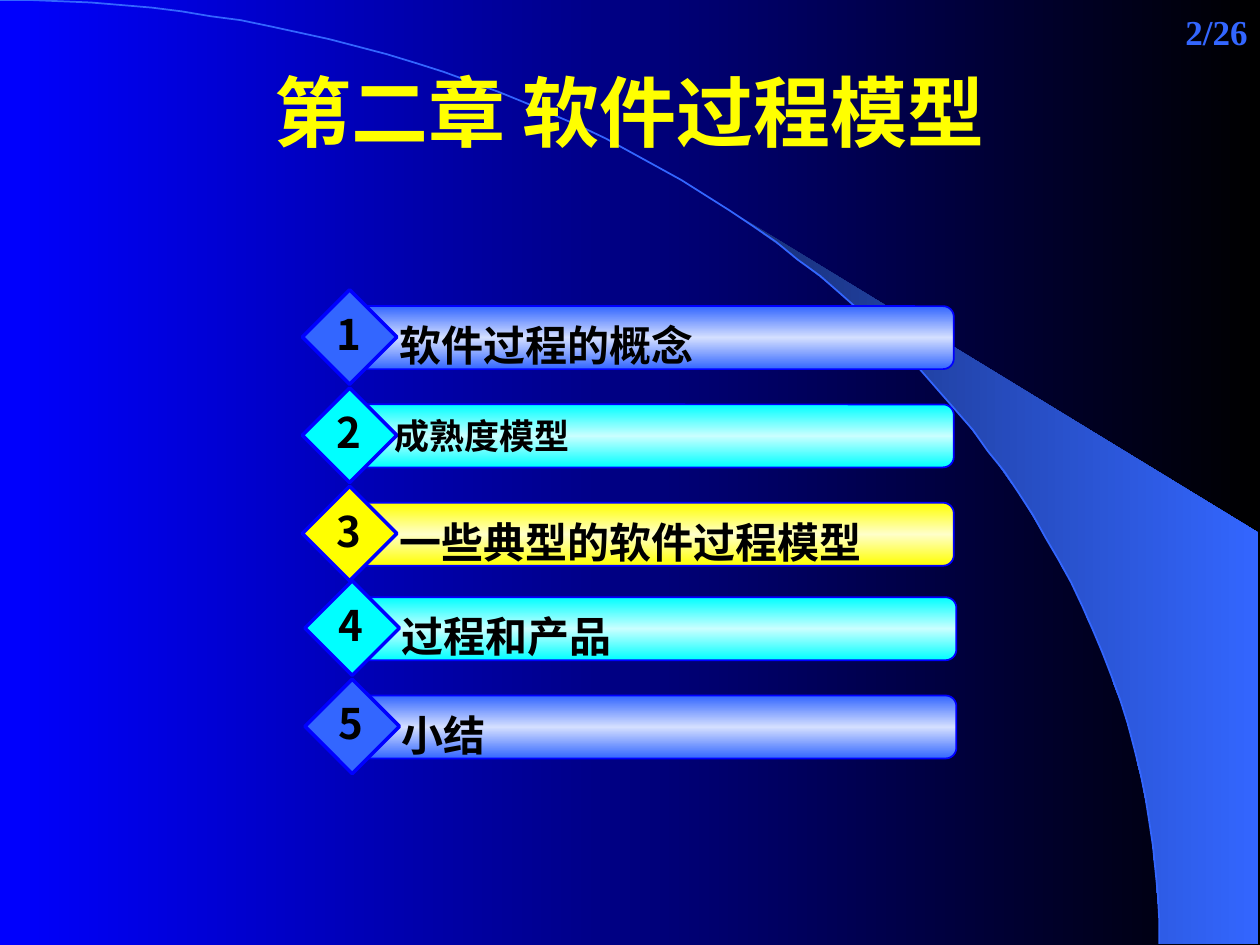
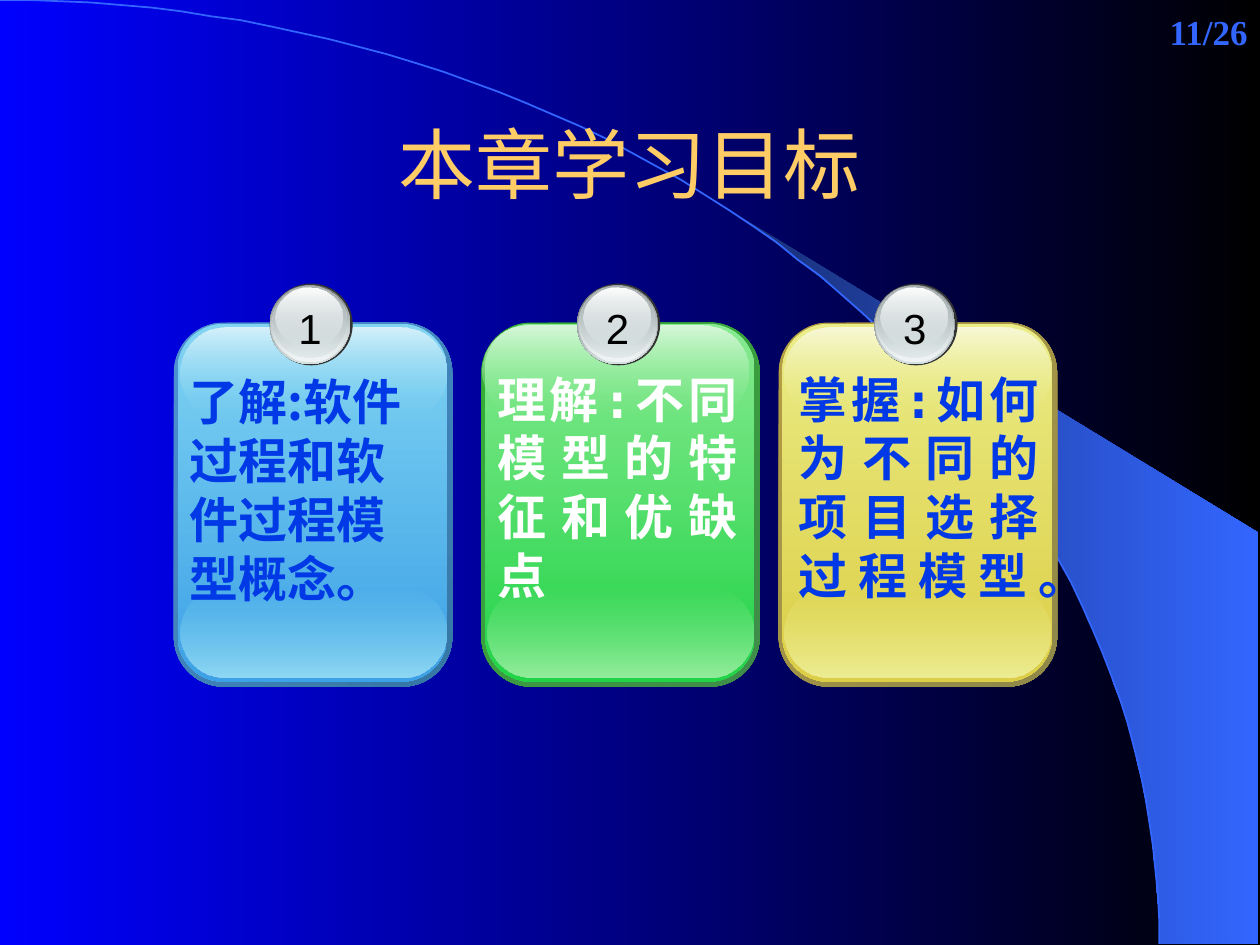
from math import cos, pi, sin
from lxml.etree import SubElement
from pptx import Presentation
from pptx.dml.color import RGBColor
from pptx.enum.lang import MSO_LANGUAGE_ID
from pptx.enum.shapes import MSO_SHAPE
from pptx.enum.text import MSO_ANCHOR, PP_ALIGN
from pptx.oxml.ns import qn
from pptx.util import Pt

PX = 9144
WIDE, HIGH = 1000, 750
BLUE = RGBColor(0x00, 0x00, 0xFF)
BLACK = RGBColor(0x00, 0x00, 0x00)
WHITE = RGBColor(0xFF, 0xFF, 0xFF)
AZURE = RGBColor(0x33, 0x66, 0xFF)
NAVY = RGBColor(0x18, 0x2F, 0x76)
YELLOW = RGBColor(0xFF, 0xFF, 0x00)
GOLD = RGBColor(0xFF, 0xCC, 0x66)
CYAN = RGBColor(0x00, 0xFF, 0xFF)
INK = RGBColor(0x00, 0x39, 0xE5)
COAL = RGBColor(0x33, 0x33, 0x33)
STEEL = RGBColor(0x63, 0x68, 0x69)
ASH = RGBColor(0xAA, 0xB2, 0xB3)
SILVER = RGBColor(0xD6, 0xE1, 0xE2)
PEARL = RGBColor(0xF1, 0xF5, 0xF5)
GLOW = {
    AZURE: RGBColor(0xD4, 0xDF, 0xFF),
    CYAN: RGBColor(0xC9, 0xFF, 0xFF),
    YELLOW: RGBColor(0xFF, 0xFF, 0xC9),
}
SKY = [RGBColor.from_string(c) for c in
       ("4E91D4", "3477A4", "80D4F2", "3CA1E6", "8FD9F4", "D5F1FB")]
LEAF = [RGBColor.from_string(c) for c in
        ("34B034", "3F8B4A", "88EA91", "21D347", "96ED9E", "D7F8DA")]
SAND = [RGBColor.from_string(c) for c in
        ("B59F43", "8F8849", "EAEC86", "DCCE46", "EDEE95", "F8F9D7")]
SANS, MONO = "Noto Sans CJK SC", "DejaVu Sans Mono"

ROWS = [
    (240, 230, AZURE, "软件过程的概念", 24, 67, 19),
    (240, 308, CYAN, "成熟度模型", 20, 63, 16),
    (240, 386, YELLOW, "一些典型的软件过程模型", 24, 67, 19),
    (242, 461, CYAN, "过程和产品", 24, 67, 19),
    (242, 539, AZURE, "小结", 24, 67, 19),
]
GOALS = [
    (138, SKY, "了解:软件过程和软件过程模型概念。", INK, SANS,
     PP_ALIGN.LEFT, (3, 34), (5, 4)),
    (382, LEAF, "理解:不同模型的特征和优缺点", WHITE, MONO,
     PP_ALIGN.JUSTIFY, (3, 32), (1, 2)),
    (618, SAND, "掌握:如何为不同的项目选择过程模型。", INK, MONO,
     PP_ALIGN.JUSTIFY, (6, 32), (5, 4)),
]


def scale(*sizes):
    return [round(size * PX) for size in sizes]


def grade(fill, owner, angle, *stops):
    fill.gradient()
    grad = owner.find(".//" + qn("a:gradFill"))
    grad.find(qn("a:lin")).set("ang", str(angle * 60000))
    group = grad.find(qn("a:gsLst"))
    group.clear()
    for index, (colour, alpha) in enumerate(stops):
        place = index * 100000 // (len(stops) - 1)
        stop = SubElement(group, qn("a:gs"), pos=str(place))
        tint = SubElement(stop, qn("a:srgbClr"), val=str(colour))
        if alpha < 100:
            SubElement(tint, qn("a:alpha"), val=str(alpha * 1000))


def border(shape, colour=None, width=1):
    shape.shadow.inherit = False
    if colour is None:
        shape.line.fill.background()
    else:
        shape.line.color.rgb = colour
        shape.line.width = Pt(width)


def draw(slide, kind, box, angle, stops, curve=None, edge=None, width=1):
    shape = slide.shapes.add_shape(kind, *scale(*box))
    if curve is not None:
        shape.adjustments[0] = curve
    if len(stops) == 1:
        shape.fill.solid()
        shape.fill.fore_color.rgb = stops[0][0]
    else:
        grade(shape.fill, shape.element, angle, *stops)
    border(shape, edge, width)


def write(frame, text, size, colour, face, bold=True, align=PP_ALIGN.LEFT):
    para = frame.paragraphs[0]
    para.alignment = align
    run = para.add_run()
    run.text = text
    font = run.font
    font.size, font.bold, font.name = Pt(size), bold, face
    font.color.rgb = colour
    font.language_id = MSO_LANGUAGE_ID.SIMPLIFIED_CHINESE
    east = MONO if face == MONO else SANS
    font.fill._xPr.find(qn("a:latin")).addnext(
        SubElement(font.fill._xPr, qn("a:ea"), typeface=east))


def label(slide, box, *style, wrap=True, anchor=MSO_ANCHOR.TOP):
    frame = slide.shapes.add_textbox(*scale(*box)).text_frame
    frame.word_wrap = wrap
    frame.vertical_anchor = anchor
    write(frame, *style)


def trace(slide, points, close):
    pen = slide.shapes.build_freeform(*points[0], scale=PX)
    pen.add_line_segments(points[1:], close=close)
    return pen.convert_to_shape()


def arc(start, count=60):
    turns = [start + (pi / 2 - start) * i / count for i in range(count + 1)]
    return [(round(920 * sin(t), 2), round(749 * (1 - cos(t)), 2))
            for t in turns]


def theme(deck, slide):
    master = deck.slide_master
    grade(master.background.fill, master.element, 0, (BLUE, 100), (BLACK, 100))
    band = trace(slide, arc(0.69) + [(999, 749), (999, 423)], True)
    grade(band.fill, band.element, 0, (NAVY, 100), (AZURE, 100))
    border(band)
    curve = trace(slide, arc(0), False)
    curve.fill.background()
    border(curve, AZURE)
    for place, shape in enumerate((band, curve), 2):
        master.shapes.element.insert(place, shape.element)


def head(slide, box, text, colour, bold, page):
    title = slide.shapes.title
    title.left, title.top, title.width, title.height = scale(*box)
    title.text_frame.vertical_anchor = MSO_ANCHOR.MIDDLE
    write(title.text_frame, text, 44, colour, "Arial", bold, PP_ALIGN.CENTER)
    label(slide, (792, 0, 208, 50), f"{page}/26", 20, AZURE,
          "Times New Roman", True, PP_ALIGN.RIGHT, anchor=MSO_ANCHOR.MIDDLE)


def entry(slide, number, x, y, colour, text, size, right, down):
    shine = [(colour, 100), (GLOW[colour], 100), (colour, 100)]
    draw(slide, MSO_SHAPE.ROUNDED_RECTANGLE, (x + 42, y + 13, 475, 50),
         90, shine, 0.17, BLUE)
    draw(slide, MSO_SHAPE.DIAMOND, (x, y, 75, 75), 0, shine[:1],
         edge=BLUE, width=2)
    label(slide, (x + right, y + down, 451, 50), text, size, BLACK, SANS)
    label(slide, (x + 17, y + 10, 39, 50), str(number), 24, BLACK, SANS,
          True, PP_ALIGN.CENTER, wrap=False)


def ball(slide, x, y, number):
    layers = [
        (0, 0, 66, 65, [(COAL, 100)]),
        (0, 1, 64, 63, [(STEEL, 100), (SILVER, 100)]),
        (1, 1, 62, 61, [(SILVER, 0), (PEARL, 100)]),
        (2, 2, 59, 57, [(ASH, 100), (SILVER, 48)]),
        (5, 3, 53, 47, [(WHITE, 100), (SILVER, 38)]),
    ]
    for left, top, wide, high, stops in layers:
        draw(slide, MSO_SHAPE.OVAL, (x + left, y + top, wide, high), 90, stops)
    label(slide, (x + 13, y + 10, 38, 50), str(number), 24, BLACK, "Arial",
          False, PP_ALIGN.CENTER, wrap=False)


def card(slide, number, x, y, tones, text, colour, face, align, inset, sheen):
    rim, shade, top, base, low, high = tones
    parts = [
        (0, 0, 221, 289, 45, 0.18, [(rim, 100), (shade, 100)]),
        (3, 1, 214, 284, 90, 0.17, [(top, 100), (base, 100)]),
        (5, 210, 211, 72, 90, 0.5, [(top, 0), (low, 100)]),
        (*sheen, 211, 72, 90, 0.5, [(high, 100), (top, 0)]),
    ]
    for left, down, wide, tall, angle, curve, stops in parts:
        draw(slide, MSO_SHAPE.ROUNDED_RECTANGLE,
             (x + left, y + down, wide, tall), angle, stops, curve)
    ball(slide, x + 76, y - 31, number)
    label(slide, (x + inset[0], y + inset[1], 210, 197), text, 28, colour,
          face, True, align)


def outline(slide):
    head(slide, (50, 0, 900, 175), "第二章 软件过程模型", YELLOW, True, 2)
    for number, row in enumerate(ROWS, 1):
        entry(slide, number, *row)


def goals(slide):
    head(slide, (75, 67, 850, 125), "本章学习目标", GOLD, False, 11)
    for number, (x, *rest) in enumerate(GOALS, 1):
        card(slide, number, x, 256, *rest)


def main():
    deck = Presentation()
    deck.slide_width, deck.slide_height = scale(WIDE, HIGH)
    plain = deck.slide_layouts[5]
    first, second = (deck.slides.add_slide(plain) for _ in range(2))
    theme(deck, first)
    outline(first)
    goals(second)
    deck.save("out.pptx")


if __name__ == "__main__":
    main()
